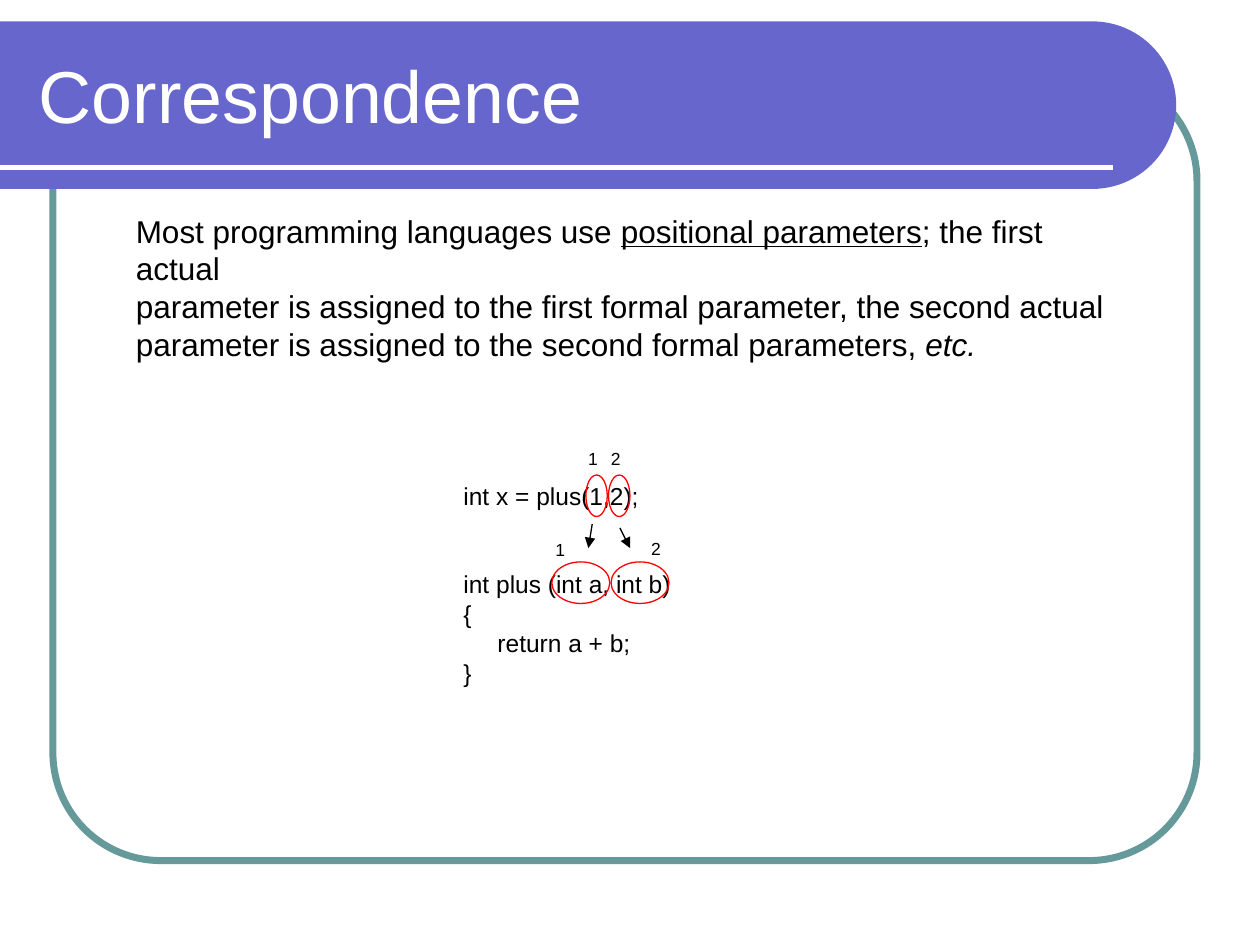
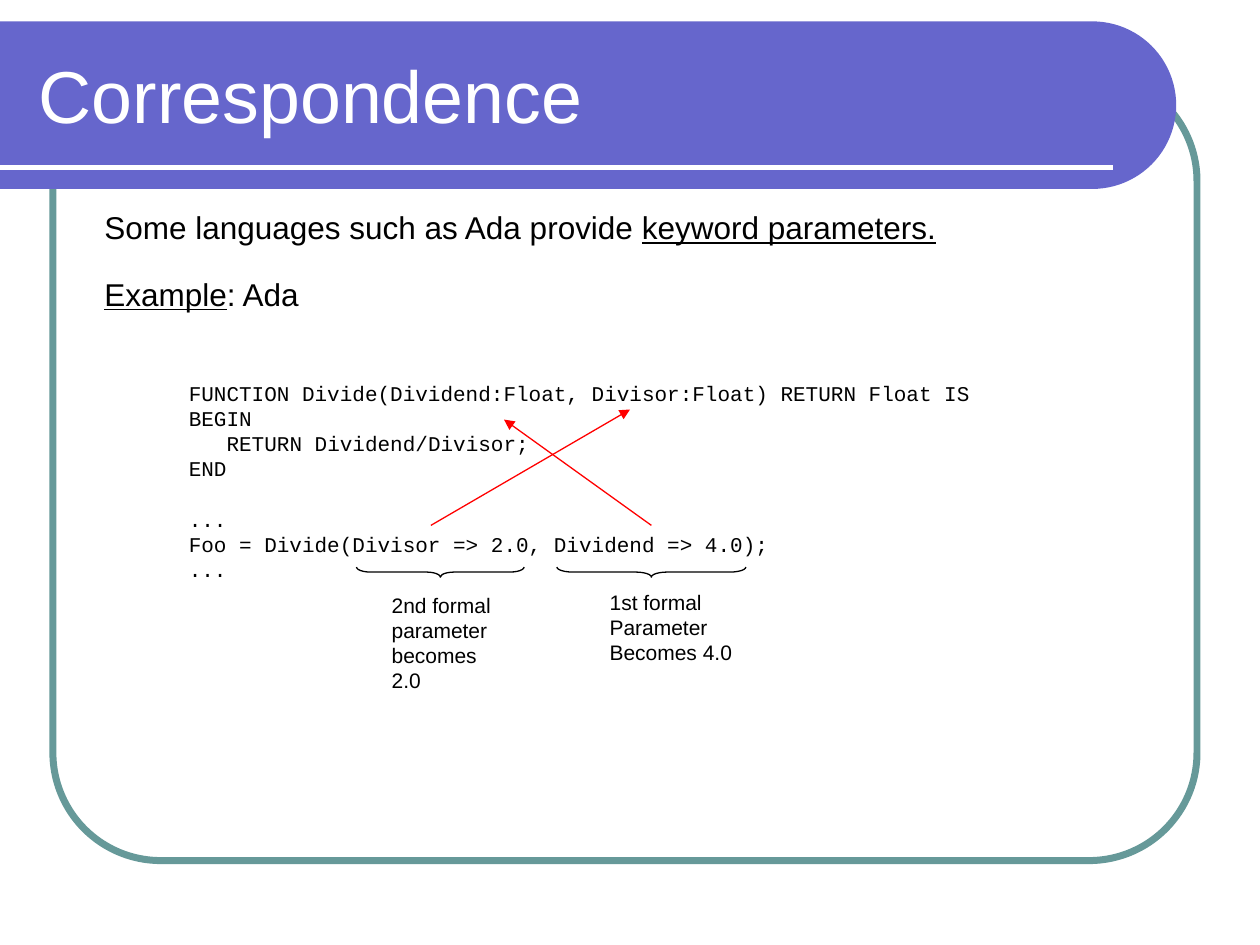
from dataclasses import dataclass
from math import cos, pi, sin

from lxml import etree
from pptx import Presentation
from pptx.dml.color import RGBColor
from pptx.enum.shapes import MSO_CONNECTOR, MSO_SHAPE
from pptx.enum.text import MSO_ANCHOR
from pptx.oxml.ns import qn
from pptx.util import Inches, Pt

STRAIGHT = MSO_CONNECTOR.STRAIGHT
ROUND = MSO_SHAPE.ROUNDED_RECTANGLE
OVAL = MSO_SHAPE.OVAL
BRACE = MSO_SHAPE.LEFT_BRACE
TOP, MIDDLE = MSO_ANCHOR.TOP, MSO_ANCHOR.MIDDLE

COLORS = {
    "band": "6666CC",
    "frame": "669999",
    "white": "FFFFFF",
    "black": "000000",
    "red": "FF0000",
}
SANS, MONO = "Arial", "Courier New"
THIN = 0.75
LEADING = 1.2  # line height as a multiple of the font size


@dataclass
class Run:
    text: str
    under: bool = False
    slant: bool = False


@dataclass
class Line:
    runs: list[Run]
    indent: float = 0  # inches
    skip: int = 0  # empty lines left above


@dataclass
class Match:
    """An actual parameter tied to its formal parameter."""
    label: str
    actual: tuple
    formal: tuple
    upper: tuple
    lower: tuple
    start: tuple
    end: tuple


@dataclass
class Note:
    """A brace under an argument, with its remark."""
    left: float
    width: float
    box: tuple
    lines: list[Line]


def color(name: str) -> RGBColor:
    return RGBColor.from_string(COLORS[name])


def plain(*texts: str) -> list[Line]:
    return [Line([Run(text)]) for text in texts]


def write(slide, lines: list[Line], box: tuple, *, size: float = 18,
          font: str = SANS, ink: str = "black", wrap: bool = False,
          anchor=TOP) -> None:
    """Place formatted lines in a text box."""
    frame = slide.shapes.add_textbox(*map(Inches, box)).text_frame
    frame.word_wrap = wrap
    frame.vertical_anchor = anchor
    for i, line in enumerate(lines):
        para = frame.paragraphs[0] if i == 0 else frame.add_paragraph()
        para.line_spacing = Pt(LEADING * size)
        para.space_before = Pt(line.skip * LEADING * size)
        if line.indent:
            para._p.get_or_add_pPr().set("marL", str(Inches(line.indent)))
        for part in line.runs:
            run = para.add_run()
            run.text = part.text
            run.font.name, run.font.size = font, Pt(size)
            run.font.color.rgb = color(ink)
            run.font.underline = part.under
            run.font.italic = part.slant


def outline(slide, kind, box: tuple, ink: str, weight: float = THIN):
    """Draw an unfilled preset shape."""
    shape = slide.shapes.add_shape(kind, *map(Inches, box))
    shape.shadow.inherit = False
    shape.fill.background()
    shape.line.color.rgb = color(ink)
    shape.line.width = Pt(weight)
    return shape


def rule(slide, start: tuple, end: tuple, ink: str, weight: float = THIN,
         arrow: bool = False) -> None:
    """Draw a straight line, with an arrowhead at its end if asked."""
    link = slide.shapes.add_connector(STRAIGHT, *map(Inches, start + end))
    link.line.color.rgb = color(ink)
    link.line.width = Pt(weight)
    if arrow:
        tip = etree.SubElement(link.line._get_or_add_ln(), qn("a:tailEnd"))
        tip.set("type", "triangle")
    etree.SubElement(link._element.spPr, qn("a:effectLst"))


def band(slide) -> None:
    """Draw the title band with its half-round right end."""
    top, radius, turn, steps = 0.17, 0.665, 8.67, 48
    angles = [pi * i / steps - pi / 2 for i in range(steps + 1)]
    arc = [(turn + radius * cos(a), top + radius * (1 + sin(a)))
           for a in angles]
    pen = slide.shapes.build_freeform(0, Inches(top), scale=1.0)
    points = arc + [(0, top + 2 * radius)]
    pen.add_line_segments([(Inches(x), Inches(y)) for x, y in points])
    shape = pen.convert_to_shape()
    shape.shadow.inherit = False
    shape.fill.solid()
    shape.fill.fore_color.rgb = color("band")
    shape.line.fill.background()


def page(deck, title: str):
    """Add a slide with the shared frame, band and title."""
    slide = deck.slides.add_slide(deck.slide_layouts[6])
    frame = outline(slide, ROUND, (0.42, 0.58, 9.08, 6.25), "frame", 4)
    frame.adjustments[0] = 0.137
    band(slide)
    rule(slide, (0, 1.33), (8.83, 1.33), "white", 3)
    write(slide, plain(title), (0.21, 0.25, 8.77, 1), size=42, ink="white",
          wrap=True, anchor=MIDDLE)
    return slide


def match(slide, item: Match) -> None:
    """Circle both parameters, number them and join them."""
    for spot, width in ((item.actual, 0.17), (item.formal, 0.46)):
        outline(slide, OVAL, spot + (width, 0.33), "red")
    for spot in (item.upper, item.lower):
        write(slide, plain(item.label), spot + (0.27, 0.27), size=10)
    rule(slide, item.start, item.end, "black", arrow=True)


def note(slide, item: Note) -> None:
    """Draw a brace that points down, and the remark below it."""
    depth, middle = 0.08, 4.54
    box = (item.left + (item.width - depth) / 2, middle - item.width / 2,
           depth, item.width)
    brace = outline(slide, BRACE, box, "black")
    brace.rotation = 270
    brace.adjustments[0] = item.width / 12 / depth
    write(slide, item.lines, item.box, size=12)


def position(deck) -> None:
    """Positional parameters."""
    slide = page(deck, "Correspondence")
    write(slide, [
        Line([Run("Most programming languages use "),
              Run("positional parameters", under=True),
              Run("; the first actual")]),
        *plain("parameter is assigned to the first formal parameter, "
               "the second actual"),
        Line([Run("parameter is assigned to the second formal parameters, "),
              Run("etc.", slant=True)]),
    ], (0.98, 1.63, 8.13, 1))

    # Call and definition
    write(slide, [
        *plain("int x = plus(1,2);"),
        Line([Run("int plus (int a, int b)")], skip=2),
        *plain("{"),
        Line([Run("return a + b;")], indent=0.27),
        *plain("}"),
    ], (3.58, 3.77, 1.9, 1.74), size=14)

    for item in (
        Match("1", (4.65, 3.77), (4.38, 4.46), (4.57, 3.51), (4.31, 4.23),
              (4.7, 4.16), (4.67, 4.35)),
        Match("2", (4.83, 3.77), (4.85, 4.46), (4.75, 3.51), (5.07, 4.22),
              (4.92, 4.19), (5, 4.35)),
    ):
        match(slide, item)


def keyword(deck) -> None:
    """Keyword parameters."""
    slide = page(deck, "Correspondence")
    write(slide, [Line([Run("Some languages such as Ada provide "),
                        Run("keyword parameters.", under=True)])],
          (0.73, 1.6, 6.81, 0.4))
    write(slide, [Line([Run("Example", under=True), Run(": Ada")])],
          (0.73, 2.13, 1.75, 0.4))

    # Function and call
    write(slide, [
        *plain("FUNCTION Divide(Dividend:Float, Divisor:Float) "
               "RETURN Float IS ", "BEGIN"),
        Line([Run("RETURN Dividend/Divisor;")], indent=0.3),
        *plain("END"),
        Line([Run("...")], skip=1),
        *plain("Foo = Divide(Divisor => 2.0, Dividend => 4.0);", "..."),
    ], (1.4, 2.97, 6.5, 1.7), size=12, font=MONO)

    # Remarks below the arguments
    for item in (
        Note(2.83, 1.33, (3.01, 4.65, 1.15, 0.7),
             plain("2nd formal ", "parameter", "becomes 2.0")),
        Note(4.42, 1.5, (4.74, 4.63, 1.17, 0.7),
             plain("1st formal", "Parameter", "Becomes 4.0")),
    ):
        note(slide, item)

    # Crossing arrows from argument to parameter
    for start, end in (((3.42, 4.17), (5, 3.25)), ((5.17, 4.17), (4, 3.33))):
        rule(slide, start, end, "red", arrow=True)


deck = Presentation()
deck.slide_width, deck.slide_height = Inches(10), Inches(7.5)
position(deck)
keyword(deck)
deck.save("out.pptx")
